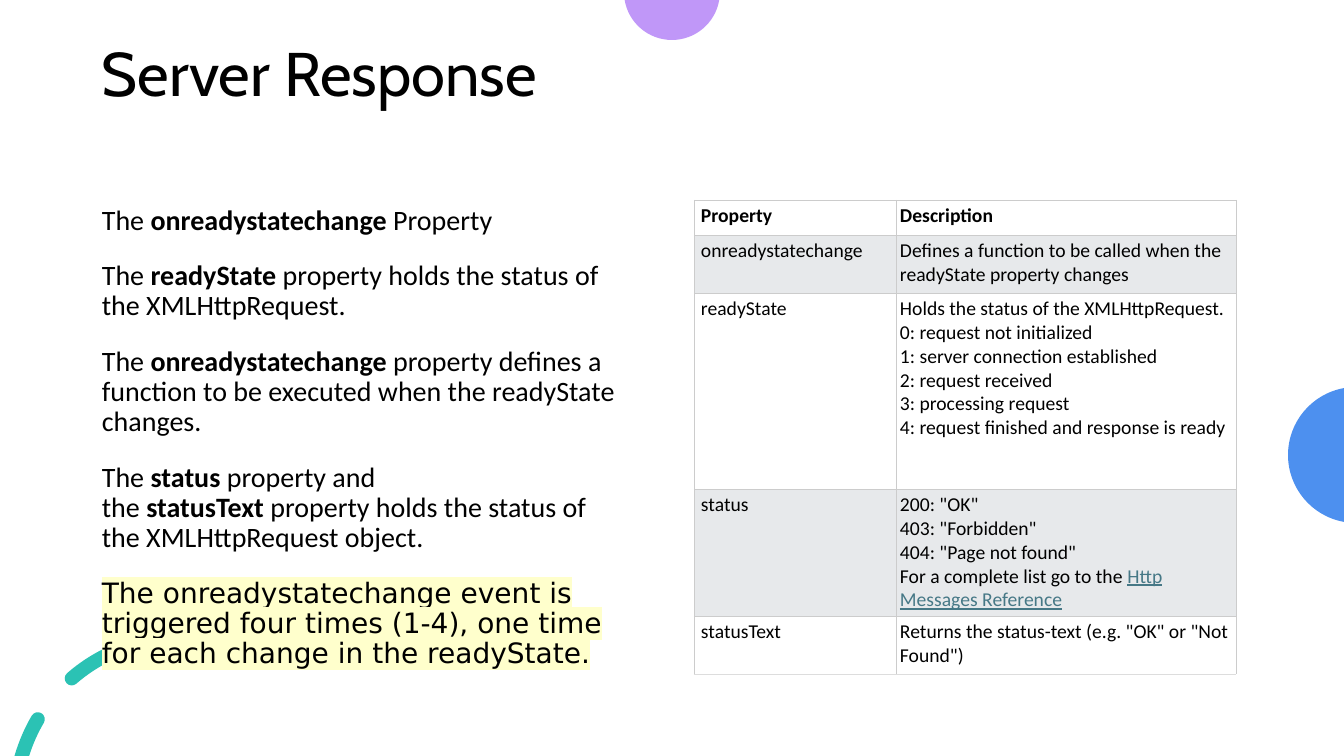
import math

import pptx
import pptx.dml.color
import pptx.enum.text
import pptx.util
from lxml import etree
from pptx.oxml.ns import qn

RGBColor = pptx.dml.color.RGBColor
Pt = pptx.util.Pt

BLACK = RGBColor(0x00, 0x00, 0x00)
WHITE = RGBColor(0xFF, 0xFF, 0xFF)
PURPLE = RGBColor(0xC0, 0x97, 0xF8)
TEAL = RGBColor(0x2B, 0xC2, 0xB4)
BLUE = RGBColor(0x4D, 0x90, 0xEF)
STRIPE = RGBColor(0xE7, 0xE9, 0xEB)
RULE = RGBColor(0xCC, 0xCC, 0xCC)
LAST_RULE = RGBColor(0xDD, 0xDD, 0xDD)
LINK = RGBColor(0x46, 0x78, 0x86)
MARKER = RGBColor(0xFF, 0xFF, 0xCC)

EMU_PER_PX = 914400 / 100.8
SLIDE_W, SLIDE_H = 1344, 756

TITLE_FORMAT = {"name": "Cabin", "size": Pt(44)}
BODY_FORMAT = {"name": "Calibri", "size": Pt(20)}
NOTE_FORMAT = {"name": "DejaVu Sans", "size": Pt(20)}
CELL_FORMAT = {"name": "Calibri", "size": Pt(14)}
BOLD = {"bold": True}
UNDERLINED = {"underline": True}

# Asterisks enclose the emphasised words, a tilde is a no-break space
NO_BREAK_SPACE = chr(160)
STATEMENTS = [
    "The *onreadystatechange* Property",
    "The~*readyState*~property holds the status of the XMLHttpRequest.",
    "The~*onreadystatechange*~property defines a function to be executed "
    "when the readyState changes.",
    "The~*status*~property and the~*statusText*~property holds the status of "
    "the XMLHttpRequest object.",
]
TRIGGER_NOTE = ("The onreadystatechange event is triggered four times (1-4), "
                "one time for each change in the readyState.")

COLUMN_WIDTHS = [202, 340]
# Row height, property, description
PROPERTY_ROWS = [
    (35, "*Property*", "*Description*"),
    (58, "onreadystatechange",
     "Defines a function to be called when the readyState property changes"),
    (196, "readyState",
     "Holds the status of the XMLHttpRequest.\n0: request not initialized\n"
     "1: server connection established\n2: request received\n"
     "3: processing request\n4: request finished and response is ready"),
    (127, "status",
     '200: "OK"\n403: "Forbidden"\n404: "Page not found"\n'
     "For a complete list go to the~*Http Messages Reference*"),
    (58, "statusText", 'Returns the status-text (e.g. "OK" or "Not Found")'),
]


def px(length):
    return round(length * EMU_PER_PX)


def write(paragraph, text, format_values, emphasis=BOLD,
          emphasis_color=BLACK, marker=None):
    """Write text, giving the parts between asterisks the emphasis."""
    for part, words in enumerate(text.replace("~", NO_BREAK_SPACE).split("*")):
        stressed = part % 2 == 1
        values = {**format_values, **(emphasis if stressed else {})}
        for line, wording in enumerate(words.split("\n")):
            if line:
                paragraph.add_line_break()
            if not wording:
                continue
            run = paragraph.add_run()
            run.text = wording
            run.font.color.rgb = emphasis_color if stressed else BLACK
            if marker:
                highlight = etree.SubElement(run.font._element, qn("a:highlight"))
                etree.SubElement(highlight, qn("a:srgbClr"), val=str(marker))
            for name, value in values.items():
                setattr(run.font, name, value)


def add_text_frame(slide, left, top, width, height):
    box = slide.shapes.add_textbox(px(left), px(top), px(width), px(height))
    box.text_frame.word_wrap = True
    box.text_frame.vertical_anchor = pptx.enum.text.MSO_ANCHOR.TOP
    return box.text_frame


def polar(center, radius, degrees):
    angle = math.radians(degrees)
    return (center[0] + radius * math.cos(angle),
            center[1] + radius * math.sin(angle))


def arc(center, radius, first, last):
    """Start point and cubic control points of a circular arc."""
    pieces = math.ceil(abs(last - first) / 90)
    sweep = (last - first) / pieces
    reach = 4 / 3 * math.tan(math.radians(sweep) / 4)
    # A control point lies along the tangent, so on a wider circle
    control_radius = radius * math.hypot(1, reach)
    turn = math.degrees(math.atan(reach))
    points = [polar(center, radius, first)]
    for i in range(pieces):
        start, end = first + sweep * i, first + sweep * (i + 1)
        points += [polar(center, control_radius, start + turn),
                   polar(center, control_radius, end - turn),
                   polar(center, radius, end)]
    return points


def add_outline(slide, contours, color):
    """Fill closed contours of cubic curves as one shape."""
    builder = None
    for contour in contours:
        points = [(x * 10, y * 10) for x, y in contour]
        if builder is None:
            builder = slide.shapes.build_freeform(*points[0], scale=EMU_PER_PX / 10)
        else:
            builder.move_to(*points[0])
        builder.add_line_segments(points[1:], close=True)
    outline = builder.convert_to_shape()
    # Join each three line segments into one curve
    lines = list(outline._element.iter(qn("a:lnTo")))
    for first, second, third in zip(lines[::3], lines[1::3], lines[2::3]):
        first.tag = qn("a:cubicBezTo")
        for line in (second, third):
            first.append(line[0])
            line.getparent().remove(line)
    outline.shadow.inherit = False
    outline.fill.solid()
    outline.fill.fore_color.rgb = color
    outline.line.fill.background()


def add_cut_circle(slide, center, radius, facing, cut, color):
    """Part of a circle beyond a chord that lies cut px from its centre."""
    half = math.degrees(math.acos(cut / radius))
    add_outline(slide, [arc(center, radius, facing - half, facing + half)], color)


def dash(center, radius, first, last, half_width):
    """Curved dash with round ends, cut flat where it meets the slide's foot."""
    outer, inner = radius + half_width, radius - half_width
    end_cap = arc(polar(center, radius, last), half_width, last, last + 180)
    if polar(center, radius, first)[1] > SLIDE_H:
        rise = center[1] - SLIDE_H
        outer_first, inner_first = (180 + math.degrees(math.asin(rise / edge))
                                    for edge in (outer, inner))
        start_cap = []
    else:
        outer_first = inner_first = first
        start_cap = arc(polar(center, radius, first), half_width,
                        first + 180, first + 360)
    return (arc(center, outer, outer_first, last) + end_cap[1:]
            + arc(center, inner, last, inner_first)[1:] + start_cap[1:])


def add_dashed_arc(slide):
    starts = [195.5 + 33.5 * i for i in range(3)]
    add_outline(slide, [dash((180, 803), 165, first, first + 15, 7)
                        for first in starts], TEAL)


def add_borders(cell, bottom_color):
    properties = cell._tc.get_or_add_tcPr()
    for side in "LRTB":
        border = etree.SubElement(properties, qn("a:ln" + side), w=str(Pt(0.43)))
        fill = etree.SubElement(border, qn("a:solidFill"))
        color = bottom_color if side == "B" else RULE
        etree.SubElement(fill, qn("a:srgbClr"), val=str(color))


def add_property_table(slide, left, top):
    heights = [row[0] for row in PROPERTY_ROWS]
    table = slide.shapes.add_table(
        len(heights), len(COLUMN_WIDTHS), px(left), px(top),
        px(sum(COLUMN_WIDTHS)), px(sum(heights))).table
    table.first_row = table.horz_banding = False
    for column, width in zip(table.columns, COLUMN_WIDTHS):
        column.width = px(width)
    for r, (height, *texts) in enumerate(PROPERTY_ROWS):
        table.rows[r].height = px(height)
        emphasis, color = (UNDERLINED, LINK) if r else (BOLD, BLACK)
        for c, text in enumerate(texts):
            cell = table.cell(r, c)
            margins = {"margin_left": 4 if c else 7, "margin_top": 4,
                       "margin_right": 4, "margin_bottom": 4}
            for name, value in margins.items():
                setattr(cell, name, px(value))
            add_borders(cell, LAST_RULE if r == len(heights) - 1 else RULE)
            cell.fill.solid()
            cell.fill.fore_color.rgb = STRIPE if r % 2 else WHITE
            write(cell.text_frame.paragraphs[0], text, CELL_FORMAT, emphasis, color)


def add_statements(slide):
    frame = add_text_frame(slide, 92, 201, 542, 474)
    for i, text in enumerate(STATEMENTS + [TRIGGER_NOTE]):
        paragraph = frame.add_paragraph() if i else frame.paragraphs[0]
        spacing = {"line_spacing": 0.9, "space_before": Pt(10 if i else 0),
                   "space_after": Pt(8)}
        for name, value in spacing.items():
            setattr(paragraph, name, value)
        if text == TRIGGER_NOTE:
            write(paragraph, text, NOTE_FORMAT, marker=MARKER)
        else:
            write(paragraph, text, BODY_FORMAT)


def main():
    deck = pptx.Presentation()
    deck.slide_width, deck.slide_height = px(SLIDE_W), px(SLIDE_H)
    slide = deck.slides.add_slide(deck.slide_layouts[6])
    # Edge decoration
    add_cut_circle(slide, (672, -8), 48, 90, 8, PURPLE)
    add_dashed_arc(slide)
    add_cut_circle(slide, (1356, 455), 68, 180, 12, BLUE)
    # Title
    title = add_text_frame(slide, 92, 38, 1159, 146).paragraphs[0]
    title.line_spacing = 0.9
    write(title, "Server~Response", TITLE_FORMAT)
    # Statements and property table
    add_statements(slide)
    add_property_table(slide, 694, 200)
    deck.save("out.pptx")


if __name__ == "__main__":
    main()
